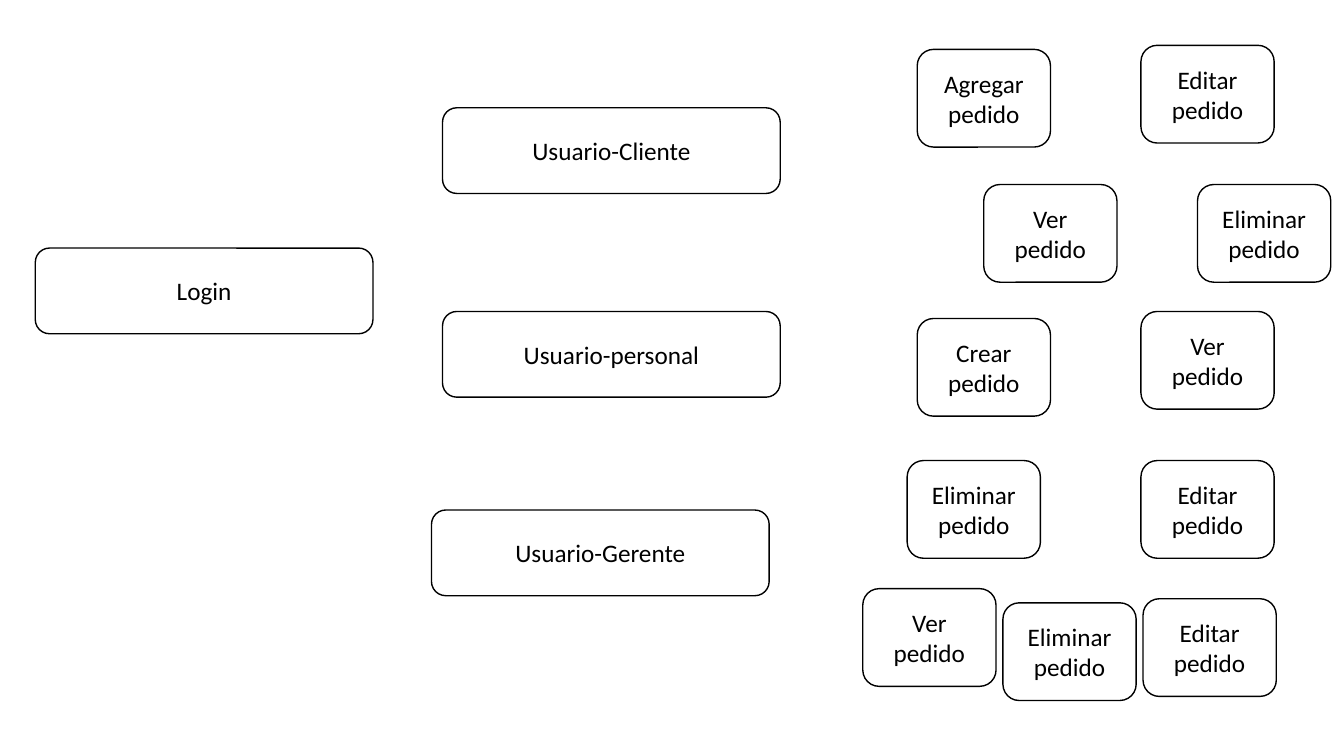
from pptx import Presentation
from pptx.dml.color import RGBColor
from pptx.enum.shapes import MSO_SHAPE
from pptx.enum.text import MSO_ANCHOR, PP_ALIGN
from pptx.util import Pt

ROUND = MSO_SHAPE.FLOWCHART_ALTERNATE_PROCESS
MIDDLE = MSO_ANCHOR.MIDDLE
CENTER = PP_ALIGN.CENTER
BLACK, WHITE = "000000", "FFFFFF"
USER_SIZE = (241.2, 61.2)
ORDER_SIZE = (95.2, 69.8)

# Offsets from the top left of each region
USERS = [
    ("Usuario-Cliente", 7.9, 0),
    ("Usuario-personal", 7.9, 145.5),
    ("Usuario-Gerente", 0, 287.3),
]
CLIENT = [
    ("Agregar", 0, 2.9),
    ("Editar", 159.8, 0),
    ("Ver", 47.5, 99.4),
    ("Eliminar", 200.2, 99.4),
]
STAFF = [
    ("Crear", 7.2, 5),
    ("Ver", 167, 0),
    ("Eliminar", 0, 106.5),
    ("Editar", 167, 106.5),
]
MANAGER = [
    ("Ver", 0, 0),
    ("Editar", 200.2, 7.2),
    ("Eliminar", 100.1, 10.1),
]


def color(code):
    return RGBColor.from_string(code)


def write(shape, text, size=18, font="Calibri", ink=BLACK, align=CENTER):
    frame = shape.text_frame
    frame.word_wrap = True
    frame.vertical_anchor = MIDDLE
    para = frame.paragraphs[0]
    para.alignment = align
    run = para.add_run()
    run.text = text
    run.font.size = Pt(size)
    run.font.name = font
    run.font.color.rgb = color(ink)


def node(slide, text, left, top, size):
    width, height = size
    shape = slide.shapes.add_shape(
        ROUND, Pt(left), Pt(top), Pt(width), Pt(height))
    shape.shadow.inherit = False
    shape.fill.solid()
    shape.fill.fore_color.rgb = color(WHITE)
    shape.line.color.rgb = color(BLACK)
    shape.line.width = Pt(1)
    write(shape, text)


def users(slide, left, top):
    for name, x, y in USERS:
        node(slide, name, left + x, top + y, USER_SIZE)


def orders(slide, left, top, actions):
    """Place one user's order actions."""
    for verb, x, y in actions:
        node(slide, f"{verb} pedido", left + x, top + y, ORDER_SIZE)


def main():
    deck = Presentation()
    deck.slide_width, deck.slide_height = Pt(960), Pt(540)
    slide = deck.slides.add_slide(deck.slide_layouts[6])
    node(slide, "Login", 25.2, 177.2, USER_SIZE)
    users(slide, 308.2, 77)
    orders(slide, 655.2, 32.4, CLIENT)
    orders(slide, 648, 222.5, STAFF)
    orders(slide, 616.3, 420.5, MANAGER)
    deck.save("out.pptx")


if __name__ == "__main__":
    main()
